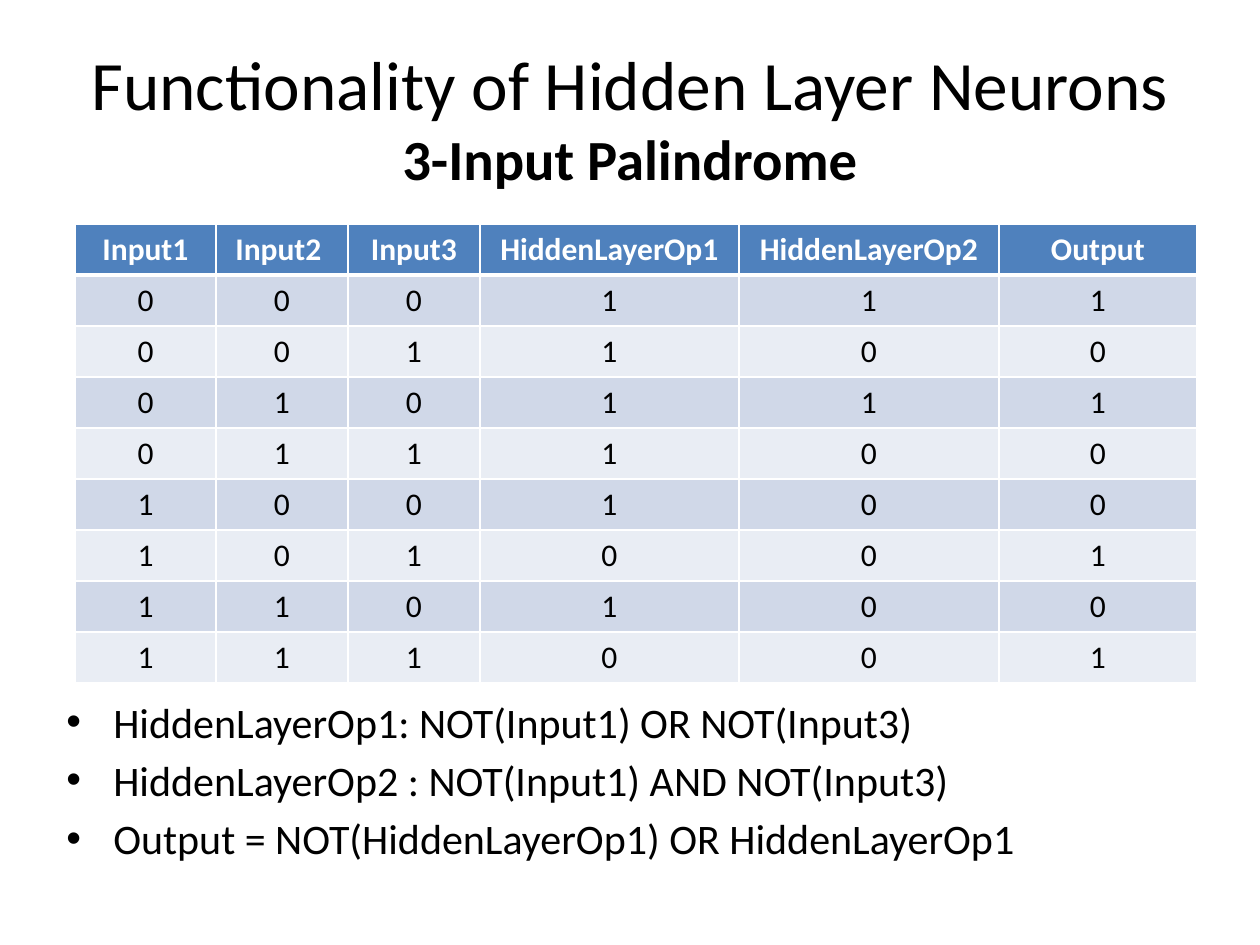
"""Builds the slide on what the hidden neurons of a 3-input palindrome network compute."""
from dataclasses import dataclass
from itertools import product

from lxml.etree import SubElement
from pptx import Presentation
from pptx.dml.color import RGBColor as Rgb
from pptx.enum.text import MSO_ANCHOR as Anchor, MSO_AUTO_SIZE as AutoSize, PP_ALIGN as Align
from pptx.oxml.ns import qn
from pptx.util import Emu, Pt

EMU_PER_PX = 914400 / 126


@dataclass(frozen=True)
class Theme:
    font: str = "Calibri"
    ink: str = "000000"
    paper: str = "FFFFFF"
    header: str = "4F81BD"
    bands: tuple = ("D0D8E8", "E9EDF4")
    title_size: float = 39.6
    subtitle_size: float = 32.4
    bullet_size: float = 24
    cell_size: float = 18
    bullet_gap: float = 4.4
    rule: float = 1
    header_rule: float = 3


THEME = Theme()
HEADERS = ("Input1", "Input2 ", "Input3", "HiddenLayerOp1", "HiddenLayerOp2", "Output")
COLUMN_WIDTHS = (141, 132, 132, 259, 260, 198)
ROW_HEIGHT = 51
FORMULAS = (
    "HiddenLayerOp1: NOT(Input1) OR NOT(Input3)",
    "HiddenLayerOp2 : NOT(Input1) AND NOT(Input3)",
    "Output = NOT(HiddenLayerOp1) OR HiddenLayerOp1",
)


def px(length):
    return Emu(round(length * EMU_PER_PX))


def write(paragraph, text, size, color=THEME.ink, bold=False, align=Align.LEFT):
    paragraph.alignment = align
    run = paragraph.add_run()
    run.text = text
    font = run.font
    font.name, font.size, font.bold = THEME.font, Pt(size), bold
    font.color.rgb = Rgb.from_string(color)


def add_title(slide, title, subtitle):
    heading = slide.shapes.title
    heading.left, heading.top, heading.width, heading.height = map(px, (63, 38, 1134, 157))
    frame = heading.text_frame
    frame.auto_size, frame.vertical_anchor = AutoSize.NONE, Anchor.MIDDLE
    paragraph = frame.paragraphs[0]
    write(paragraph, title, THEME.title_size, align=Align.CENTER)
    paragraph.add_line_break()
    write(paragraph, subtitle, THEME.subtitle_size, bold=True, align=Align.CENTER)


def add_bullets(slide, lines):
    frame = slide.shapes.add_textbox(px(54), px(690), px(1171), px(218)).text_frame
    frame.word_wrap = True
    for index, line in enumerate(lines):
        paragraph = frame.add_paragraph() if index else frame.paragraphs[0]
        write(paragraph, line, THEME.bullet_size)
        paragraph.space_before = Pt(THEME.bullet_gap)
        properties = paragraph._p.get_or_add_pPr()
        properties.set("marL", str(px(47)))
        properties.set("indent", str(px(-47)))
        SubElement(properties, qn("a:buFont"), typeface="Arial")
        SubElement(properties, qn("a:buChar"), char="•")


def set_borders(cell, **widths):
    """Draws the named sides; they must precede the fill in the cell's properties."""
    properties = cell._tc.get_or_add_tcPr()
    for side, width in widths.items():
        line = SubElement(properties, qn(f"a:ln{side}"), w=str(Pt(width)))
        fill = SubElement(line, qn("a:solidFill"))
        SubElement(fill, qn("a:srgbClr"), val=THEME.paper)


def fill_cell(cell, text, fill, color=THEME.ink, bold=False, top=THEME.rule, bottom=THEME.rule):
    set_borders(cell, L=THEME.rule, R=THEME.rule, T=top, B=bottom)
    cell.fill.solid()
    cell.fill.fore_color.rgb = Rgb.from_string(fill)
    write(cell.text_frame.paragraphs[0], text, THEME.cell_size, color, bold, Align.CENTER)


def truth_rows():
    for first, middle, last in product((0, 1), repeat=3):
        either_off = int(not first or not last)
        both_off = int(not first and not last)
        yield first, middle, last, either_off, both_off, int(first == last)


def add_truth_table(slide):
    rows = list(truth_rows())
    row_count = len(rows) + 1
    table = slide.shapes.add_table(
        row_count, len(HEADERS), px(75), px(224),
        px(sum(COLUMN_WIDTHS)), px(ROW_HEIGHT * row_count),
    ).table
    for column, width in zip(table.columns, COLUMN_WIDTHS):
        column.width = px(width)
    for row in table.rows:
        row.height = px(ROW_HEIGHT)
    for column, header in enumerate(HEADERS):
        fill_cell(table.cell(0, column), header, THEME.header, THEME.paper, True,
                  bottom=THEME.header_rule)
    for number, values in enumerate(rows, start=1):
        top = THEME.header_rule if number == 1 else THEME.rule
        for column, value in enumerate(values):
            fill_cell(table.cell(number, column), str(value), THEME.bands[(number - 1) % 2], top=top)


def main():
    deck = Presentation()
    deck.slide_width, deck.slide_height = px(1260), px(945)
    slide = deck.slides.add_slide(deck.slide_layouts.get_by_name("Title Only"))
    add_title(slide, "Functionality of Hidden Layer Neurons", "3-Input Palindrome")
    add_bullets(slide, FORMULAS)
    add_truth_table(slide)
    deck.save("out.pptx")


if __name__ == "__main__":
    main()
